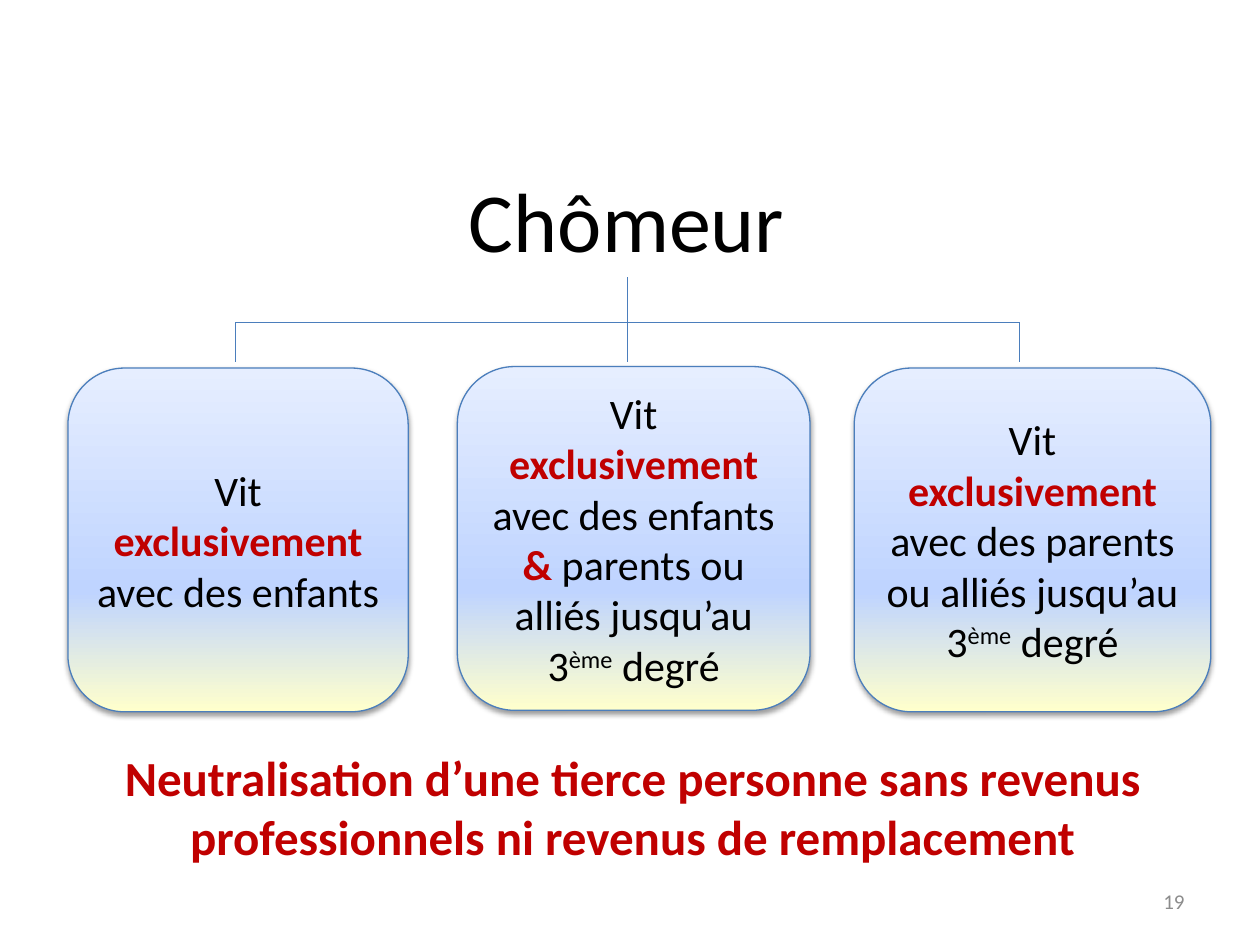
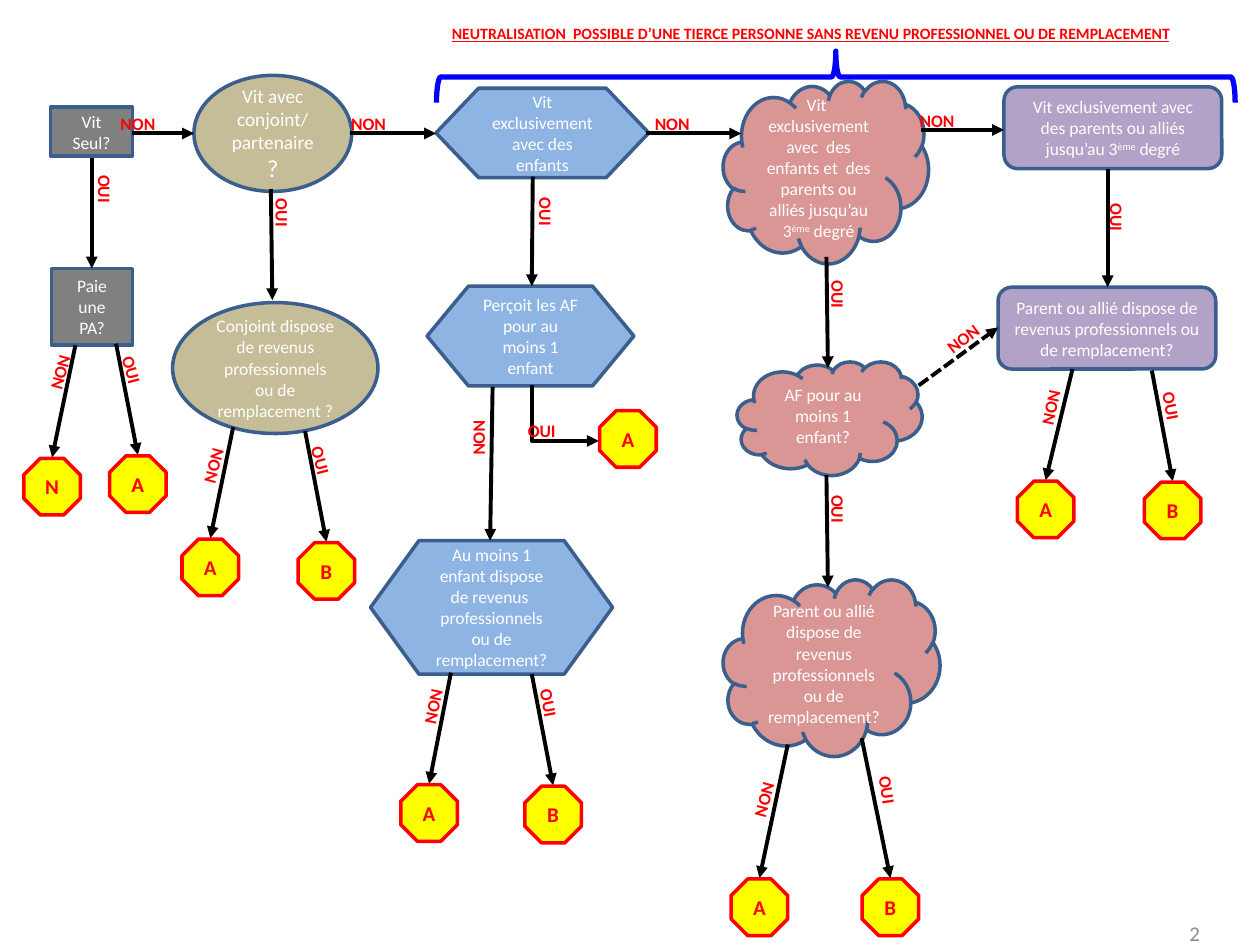
from copy import deepcopy

from lxml import etree
from pptx import Presentation
from pptx.dml.color import RGBColor
from pptx.enum.dml import MSO_LINE
from pptx.enum.shapes import MSO_CONNECTOR, MSO_SHAPE
from pptx.enum.text import MSO_ANCHOR, PP_ALIGN
from pptx.oxml.ns import qn
from pptx.util import Cm, Pt

RECTANGLE, ROUNDED, ELLIPSE = MSO_SHAPE.RECTANGLE, MSO_SHAPE.ROUNDED_RECTANGLE, MSO_SHAPE.OVAL
HEXAGON, CLOUD = MSO_SHAPE.FLOWCHART_PREPARATION, MSO_SHAPE.CLOUD
OCTAGON, BRACE = MSO_SHAPE.OCTAGON, MSO_SHAPE.RIGHT_BRACE
STRAIGHT, ELBOW = MSO_CONNECTOR.STRAIGHT, MSO_CONNECTOR.ELBOW
LEFT, CENTER, RIGHT = PP_ALIGN.LEFT, PP_ALIGN.CENTER, PP_ALIGN.RIGHT
TOP, MIDDLE = MSO_ANCHOR.TOP, MSO_ANCHOR.MIDDLE
DASHED = MSO_LINE.SQUARE_DOT

FONT = "Calibri"
COLORS = {
    "black": "000000", "white": "FFFFFF", "number": "8C8C8C",
    "emphasis": "C00000", "tree": "4B7EBC", "outline": "3A5F8C",
    "answer": "FF0000", "verdict": "FFFF00", "brace": "0000FF",
    "alone": "808080", "partner": "C4BD97", "children": "8EB4E3",
    "mixed": "D99694", "parents": "B3A2C7",
}
BOX_GRADIENT = [(0, "FFFFCC"), (0.35, "BFD4FF"), (1, "E6EEFF")]

# ---- Content of slide 1 (lengths in cm) ----
TITLE = "Chômeur"
CONCLUSION = ("Neutralisation d’une tierce personne sans revenus "
              "professionnels ni revenus de remplacement")
DEGREE = [("ème", "super"), (" degré", "plain")]
SITUATIONS = [  # left, top, width, runs
    (1.37, 7.42, 6.86, [("Vit ", "plain"), ("exclusivement", "strong"),
                        (" avec des enfants", "plain")]),
    (9.22, 7.39, 7.11, [("Vit ", "plain"), ("exclusivement ", "strong"),
                        ("avec des enfants ", "plain"), ("&", "strong"),
                        (" parents ou alliés jusqu’au 3", "plain")] + DEGREE),
    (17.22, 7.42, 7.19, [("Vit ", "plain"), ("exclusivement ", "strong"),
                         ("avec des parents ou alliés jusqu’au 3", "plain")] + DEGREE),
]
BRANCH_XS = [4.75, 12.65, 20.55]
STEM_TOP, BRANCH_Y, BRANCH_BOTTOM = 5.59, 6.5, 7.29

# ---- Content of slide 2 (lengths in cm) ----
HEADING = ("NEUTRALISATION  POSSIBLE D’UNE TIERCE PERSONNE SANS REVENU "
           "PROFESSIONNEL OU DE REMPLACEMENT")
PARENT_INCOME = "Parent ou allié dispose de revenus professionnels ou de remplacement?"
QUESTIONS = [  # outline, fill, (left, top, width, height), text or runs
    (RECTANGLE, "alone", (1.02, 2.16, 1.65, 0.99), "Vit Seul?"),
    (RECTANGLE, "alone", (1.04, 5.41, 1.63, 1.55), "Paie une PA?"),
    (ELLIPSE, "partner", (3.91, 1.52, 3.18, 2.34),
     [("Vit avec conjoint/ partenaire", 11), ("?", 14)]),
    (ELLIPSE, "partner", (3.48, 6.1, 4.14, 2.64),
     "Conjoint dispose de revenus professionnels ou de remplacement ?"),
    (HEXAGON, "children", (8.79, 1.78, 4.29, 1.8), "Vit exclusivement avec des enfants"),
    (HEXAGON, "children", (8.61, 5.77, 4.17, 2.01), "Perçoit les AF pour au moins 1 enfant"),
    (HEXAGON, "children", (7.47, 10.9, 4.88, 2.69),
     "Au moins 1 enfant dispose de revenus  professionnels ou de remplacement?"),
    (CLOUD, "mixed", (14.58, 1.63, 4.14, 3.68),
     [("Vit  exclusivement avec  des enfants et  des parents ou alliés jusqu’au 3",
       "plain")] + DEGREE),
    (CLOUD, "mixed", (14.86, 7.29, 3.73, 2.29), "AF pour au moins 1 enfant?"),
    (CLOUD, "mixed", (14.58, 11.68, 4.37, 3.56), PARENT_INCOME),
    (ROUNDED, "parents", (20.24, 1.75, 4.39, 1.65),
     [("Vit exclusivement avec des parents ou alliés jusqu’au 3", "plain")] + DEGREE),
    (ROUNDED, "parents", (20.12, 5.79, 4.39, 1.65), PARENT_INCOME),
]
ACROSS = [  # start, end, answer, centre of the answer
    ((2.67, 2.69), (3.91, 2.69), "NON", (3.21, 2.5)),
    ((7.06, 2.69), (8.79, 2.69), "NON", (7.86, 2.5)),
    ((13.03, 2.69), (14.94, 2.69), "NON", (13.98, 2.5)),
    ((18.57, 2.62), (20.24, 2.62), "NON", (19.32, 2.43)),
]
DOWN = [
    ((1.85, 3.18), (1.85, 5.41), "OUI", (2.12, 4.18)),
    ((5.46, 3.81), (5.49, 6.05), "OUI", (5.7, 4.66)),
    ((10.74, 3.56), (10.72, 5.77), "OUI", (11.01, 4.64)),
    ((9.93, 7.8), (9.88, 10.9), "NON", (9.69, 9.18)),
    ((16.66, 5.18), (16.69, 7.42), "OUI", (16.9, 6.31)),
    ((16.66, 9.58), (16.69, 11.84), "OUI", (16.9, 10.63)),
    ((22.33, 3.4), (22.33, 5.79), "OUI", (22.52, 4.76)),
]
VERDICTS = [  # start, end, answer, centre of the answer, rotation, verdict
    ((1.52, 6.96), (1.05, 9.22), "NON", (1.16, 7.86), 15, "N"),
    ((2.34, 6.93), (2.78, 9.17), "OUI", (2.76, 7.81), -15, "A"),
    ((4.7, 8.61), (4.24, 10.85), "NON", (4.25, 9.74), 15, "A"),
    ((6.15, 8.69), (6.58, 10.92), "OUI", (6.57, 9.64), -15, "B"),
    ((9.09, 13.56), (8.65, 15.8), "NON", (8.7, 14.59), 12, "A"),
    ((10.72, 13.59), (11.15, 15.83), "OUI", (11.14, 14.54), -11, "B"),
    ((15.88, 15.01), (15.31, 17.7), "NON", (15.35, 16.47), 15, "A"),
    ((17.37, 14.88), (17.95, 17.7), "OUI", (17.95, 16.29), -8.5, "B"),
    ((21.62, 7.44), (21.08, 9.68), "NON", (21.15, 8.57), 12, "A"),
    ((23.22, 7.47), (23.64, 9.7), "OUI", (23.69, 8.55), -11, "B"),
]
VERDICT_SIZE = 1.14
ANSWER_LENGTHS = {"OUI": 1.8, "NON": 1.9}


# ---- Shared helpers ----
def rgb(name):
    return RGBColor.from_string(COLORS[name])


def place(box):
    return [Cm(value) for value in box]


def centred(centre, width, height):
    return centre[0] - width / 2, centre[1] - height / 2, width, height


def write(shape, content, size, color, bold=False, align=CENTER, anchor=MIDDLE):
    """Content is a string, or runs of (text, style), where a number is a size."""
    frame = shape.text_frame
    frame.word_wrap = True
    frame.vertical_anchor = anchor
    paragraph = frame.paragraphs[0]
    paragraph.alignment = align
    runs = [(content, "plain")] if isinstance(content, str) else content
    for text, style in runs:
        run = paragraph.add_run()
        run.text = text
        font = run.font
        font.name = FONT
        font.size = Pt(size if isinstance(style, str) else style)
        font.bold = bold or style == "strong"
        font.color.rgb = rgb("emphasis" if style == "strong" else color)
        if style == "super":
            run._r.get_or_add_rPr().set("baseline", "30000")


def add_text(slide, box, *args, **options):
    shape = slide.shapes.add_textbox(*place(box))
    write(shape, *args, **options)
    return shape


def add_box(slide, outline, box, fill, line, width):
    shape = slide.shapes.add_shape(outline, *place(box))
    shape.shadow.inherit = False
    if fill:
        shape.fill.solid()
        shape.fill.fore_color.rgb = rgb(fill)
    else:
        shape.fill.background()
    shape.line.color.rgb = rgb(line)
    shape.line.width = Pt(width)
    return shape


def add_line(slide, start, end, color="black", width=2.25, arrow=True, kind=STRAIGHT):
    line = slide.shapes.add_connector(kind, *place(start + end))
    line.line.color.rgb = rgb(color)
    line.line.width = Pt(width)
    if arrow:
        etree.SubElement(line.line._get_or_add_ln(), qn("a:tailEnd"), type="triangle")
    etree.SubElement(line._element.spPr, qn("a:effectLst"))
    return line


def add_number(slide, number, box):
    add_text(slide, box, number, 12, "number", align=RIGHT)


# ---- Slide 1: three situations ----
def style_situation(shape):
    fill = shape.fill
    fill.gradient()
    fill.gradient_angle = 90
    stop_list = shape._element.spPr.find(".//" + qn("a:gsLst"))
    stop_list.append(deepcopy(stop_list[0]))
    for stop, (position, color) in zip(fill.gradient_stops, BOX_GRADIENT):
        stop.position = position
        stop.color.rgb = RGBColor.from_string(color)
    effects = shape._element.spPr.find(qn("a:effectLst"))
    shadow = etree.SubElement(effects, qn("a:outerShdw"), blurRad="40000",
                              dist="20000", dir="5400000", rotWithShape="0")
    color = etree.SubElement(shadow, qn("a:srgbClr"), val=COLORS["black"])
    etree.SubElement(color, qn("a:alpha"), val="38000")


def build_situations(slide):
    add_number(slide, "19", (18.21, 17.65, 5.92, 1.02))
    add_text(slide, (9.17, 3.28, 6.93, 2.31), TITLE, 48, "black", anchor=TOP)
    for left, top, width, runs in SITUATIONS:
        shape = add_box(slide, ROUNDED, (left, top, width, 6.93), "white", "tree", 0.75)
        style_situation(shape)
        write(shape, runs, 24, "black")
    middle = BRANCH_XS[1]
    tree = [((x, BRANCH_BOTTOM), (x, BRANCH_Y)) for x in BRANCH_XS]
    tree.append(((BRANCH_XS[0], BRANCH_Y), (BRANCH_XS[-1], BRANCH_Y)))
    tree.append(((middle, BRANCH_Y), (middle, STEM_TOP)))
    for start, end in tree:
        add_line(slide, start, end, "tree", 0.75, arrow=False)
    add_text(slide, (1.09, 14.94, 23.32, 2.64), CONCLUSION, 28, "emphasis",
             bold=True, anchor=TOP)


# ---- Slide 2: decision tree ----
def add_answer(slide, answer, centre, rotation=0, vertical=True):
    size = (0.94, ANSWER_LENGTHS[answer]) if vertical else (2.06, 0.69)
    shape = add_text(slide, centred(centre, *size), answer, 10, "answer",
                     bold=True, align=LEFT)
    shape.rotation = rotation
    if vertical:
        shape.text_frame._txBody.bodyPr.set("vert", "vert")


def add_verdict(slide, verdict, centre):
    box = centred(centre, VERDICT_SIZE, VERDICT_SIZE)
    shape = add_box(slide, OCTAGON, box, "verdict", "answer", 2)
    write(shape, verdict, 12, "answer", bold=True)


def add_corner_arrow(slide, start, end):
    """Goes down first, then right: a one-bend connector turned by 270 degrees."""
    centre = (start[0] + end[0]) / 2, (start[1] + end[1]) / 2
    left, top, width, height = centred(centre, end[1] - start[1], end[0] - start[0])
    line = add_line(slide, (left + width, top), (left, top + height), kind=ELBOW)
    properties = line._element.spPr
    properties.find(qn("a:xfrm")).set("rot", "16200000")
    properties.find(qn("a:prstGeom")).set("prst", "bentConnector2")


def build_decision_tree(slide):
    add_number(slide, "2", (23.32, 18.31, 1.12, 1.02))
    for outline, fill, box, content in QUESTIONS:
        write(add_box(slide, outline, box, fill, "outline", 2), content, 10, "white")

    # Arrows between questions
    for arrows, vertical in ((ACROSS, False), (DOWN, True)):
        for start, end, answer, centre in arrows:
            add_line(slide, start, end)
            add_answer(slide, answer, centre, vertical=vertical)
    add_line(slide, (18.52, 7.77), (20.12, 6.6)).line.dash_style = DASHED
    add_answer(slide, "NON", (19.16, 7.07), 53)

    # Arrows to verdicts
    for start, end, answer, centre, rotation, verdict in VERDICTS:
        add_line(slide, start, end)
        add_answer(slide, answer, centre, rotation)
        add_verdict(slide, verdict, (end[0], end[1] + 0.02 + VERDICT_SIZE / 2))
    add_corner_arrow(slide, (10.72, 7.77), (12.07, 8.89))
    add_answer(slide, "OUI", (11.42, 8.67), vertical=False)
    add_verdict(slide, "A", (12.66, 8.85))

    # Brace and heading over the last three columns
    brace = add_box(slide, BRACE, centred((16.85, 1.55), 1.04, 16.1), None, "brace", 3)
    brace.rotation = 270
    heading = add_text(slide, (8.86, 0.36, 15.8, 0.64), HEADING, 9, "answer",
                       bold=True, align=LEFT, anchor=TOP)
    heading.text_frame.paragraphs[0].runs[0].font.underline = True


def main():
    presentation = Presentation()
    presentation.slide_width, presentation.slide_height = Cm(25.4), Cm(19.05)
    blank = presentation.slide_layouts[6]
    for build in (build_situations, build_decision_tree):
        build(presentation.slides.add_slide(blank))
    presentation.save("out.pptx")


if __name__ == "__main__":
    main()
